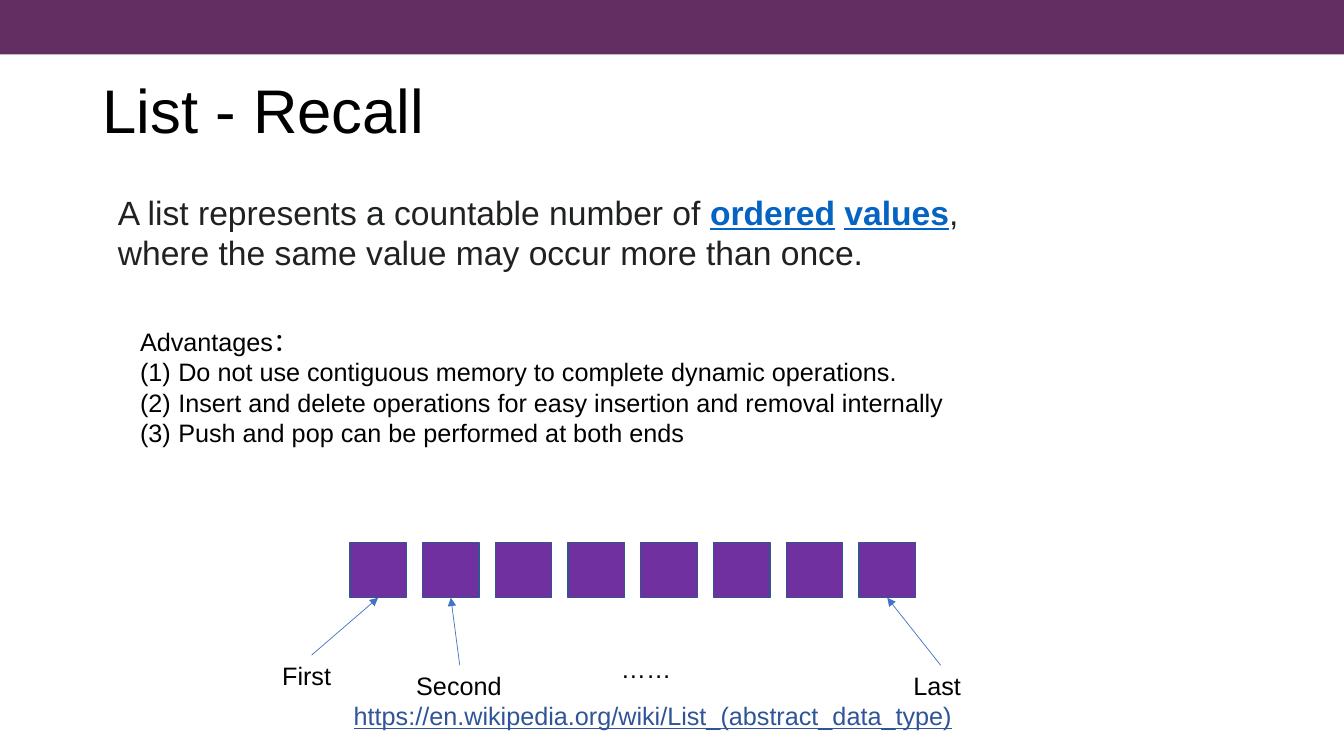
from dataclasses import dataclass

from lxml import etree
from pptx import Presentation
from pptx.dml.color import RGBColor
from pptx.enum.shapes import MSO_CONNECTOR, MSO_SHAPE
from pptx.enum.text import MSO_ANCHOR, PP_ALIGN
from pptx.oxml.ns import qn
from pptx.shapes.autoshape import Shape
from pptx.slide import Slide
from pptx.util import Inches, Pt

RECT = MSO_SHAPE.RECTANGLE
STRAIGHT = MSO_CONNECTOR.STRAIGHT
MIDDLE, TOP = MSO_ANCHOR.MIDDLE, MSO_ANCHOR.TOP
LEFT, CENTER = PP_ALIGN.LEFT, PP_ALIGN.CENTER

BANNER = RGBColor(0x63, 0x2E, 0x62)
NODE_FILL = RGBColor(0x70, 0x30, 0xA0)
NODE_LINE = RGBColor(0x32, 0x54, 0x91)
ARROW = RGBColor(0x44, 0x72, 0xC4)
BLACK = RGBColor(0, 0, 0)
BODY = RGBColor(0x20, 0x21, 0x22)
TERM = RGBColor(0x05, 0x63, 0xC1)
LINK = RGBColor(0x2F, 0x54, 0x97)

FONT = "Arial"
NODE_COUNT = 8
FIRST_LEFT, LAST_LEFT = 3.47, 8.52
NODE_TOP, NODE_W, NODE_H = 5.38, 0.56, 0.55


@dataclass
class Box:
    left: float
    top: float
    width: float
    height: float


@dataclass
class Label:
    text: str
    box: Box
    node: int | None = None
    align: PP_ALIGN = LEFT


LABELS = [
    Label("First", Box(2.7, 6.5, 0.78, 0.4), 0),
    Label("Second", Box(4.03, 6.6, 1.06, 0.4), 1),
    Label("……", Box(6.06, 6.43, 1.06, 0.4)),
    Label("Last ", Box(8.8, 6.6, 1.06, 0.4), NODE_COUNT - 1, CENTER),
]

DEFINITION = [
    ("A list\u00a0represents a countable number of\u00a0", False),
    ("ordered", True),
    ("\u00a0", False),
    ("values", True),
    (", where the same value may occur more than once.", False),
]

ADVANTAGES = [
    "Do not use contiguous memory to complete dynamic operations.",
    "Insert and delete operations for easy insertion and removal internally",
    "Push and pop can be performed at both ends",
]


def add_rect(s: Slide, box: Box, fill: RGBColor, line: RGBColor | None = None) -> Shape:
    sp = s.shapes.add_shape(RECT, Inches(box.left), Inches(box.top),
                            Inches(box.width), Inches(box.height))
    sp.shadow.inherit = False
    sp.fill.solid()
    sp.fill.fore_color.rgb = fill
    if line is None:
        sp.line.fill.background()
    else:
        sp.line.color.rgb = line
        sp.line.width = Pt(1)
    return sp


def add_text(s: Slide, box: Box, lines: list[str], size: float = 18,
             color: RGBColor = BLACK, align: PP_ALIGN = LEFT,
             anchor: MSO_ANCHOR = TOP, wrap: bool = True) -> Shape:
    sp = s.shapes.add_textbox(Inches(box.left), Inches(box.top),
                              Inches(box.width), Inches(box.height))
    tf = sp.text_frame
    tf.word_wrap = wrap
    tf.vertical_anchor = anchor
    tf.text = "\n".join(lines)
    for p in tf.paragraphs:
        p.alignment = align
        p.font.name = FONT
        p.font.size = Pt(size)
        p.font.color.rgb = color
    return sp


def add_definition(s: Slide) -> None:
    sp = add_text(s, Box(1.07, 1.85, 9.25, 0.91), [""], 24, BODY)
    p = sp.text_frame.paragraphs[0]
    for text, is_term in DEFINITION:
        r = p.add_run()
        r.text = text
        if is_term:
            r.font.bold = True
            r.font.underline = True
            r.font.color.rgb = TERM


def add_advantages(s: Slide) -> None:
    sp = add_text(s, Box(1.29, 3.19, 8.31, 1.31), ["Advantages：", *ADVANTAGES], wrap=False)
    for p in sp.text_frame.paragraphs[1:]:
        pPr = p._p.get_or_add_pPr()
        pPr.set("marL", str(Inches(0.38)))
        pPr.set("indent", str(-Inches(0.38)))
        number = etree.Element(qn("a:buAutoNum"), type="arabicParenBoth")
        pPr.insert(0, number)


def add_arrow(s: Slide, label: Shape, node: Shape) -> None:
    """Point from the top of a label to the bottom of a node."""
    cx = s.shapes.add_connector(STRAIGHT, 0, 0, 0, 0)
    cx.begin_connect(label, 0)
    cx.end_connect(node, 2)
    cx.line.color.rgb = ARROW
    cx.line.width = Pt(0.5)
    etree.SubElement(cx.line._get_or_add_ln(), qn("a:tailEnd"), type="triangle")
    etree.SubElement(cx._element.spPr, qn("a:effectLst"))


def add_list_diagram(s: Slide) -> None:
    pitch = (LAST_LEFT - FIRST_LEFT) / (NODE_COUNT - 1)
    nodes = [add_rect(s, Box(FIRST_LEFT + i * pitch, NODE_TOP, NODE_W, NODE_H),
                      NODE_FILL, NODE_LINE) for i in range(NODE_COUNT)]
    for label in LABELS:
        sp = add_text(s, label.box, [label.text], align=label.align)
        if label.node is not None:
            add_arrow(s, sp, nodes[label.node])


def main() -> None:
    prs = Presentation()
    prs.slide_width, prs.slide_height = Inches(13.33), Inches(7.5)
    s = prs.slides.add_slide(prs.slide_layouts[6])

    add_rect(s, Box(0, -0.02, 13.33, 0.56), BANNER)
    title = add_text(s, Box(0.92, 0.4, 11.5, 1.45), ["List - Recall"], 44, anchor=MIDDLE)
    title.text_frame.paragraphs[0].line_spacing = 0.9
    add_definition(s)
    add_advantages(s)
    link = add_text(s, Box(3.41, 6.9, 6.19, 0.4),
                    ["https://en.wikipedia.org/wiki/List_(abstract_data_type)"],
                    color=LINK, wrap=False)
    link.text_frame.paragraphs[0].font.underline = True
    add_list_diagram(s)

    prs.save("out.pptx")


if __name__ == "__main__":
    main()
